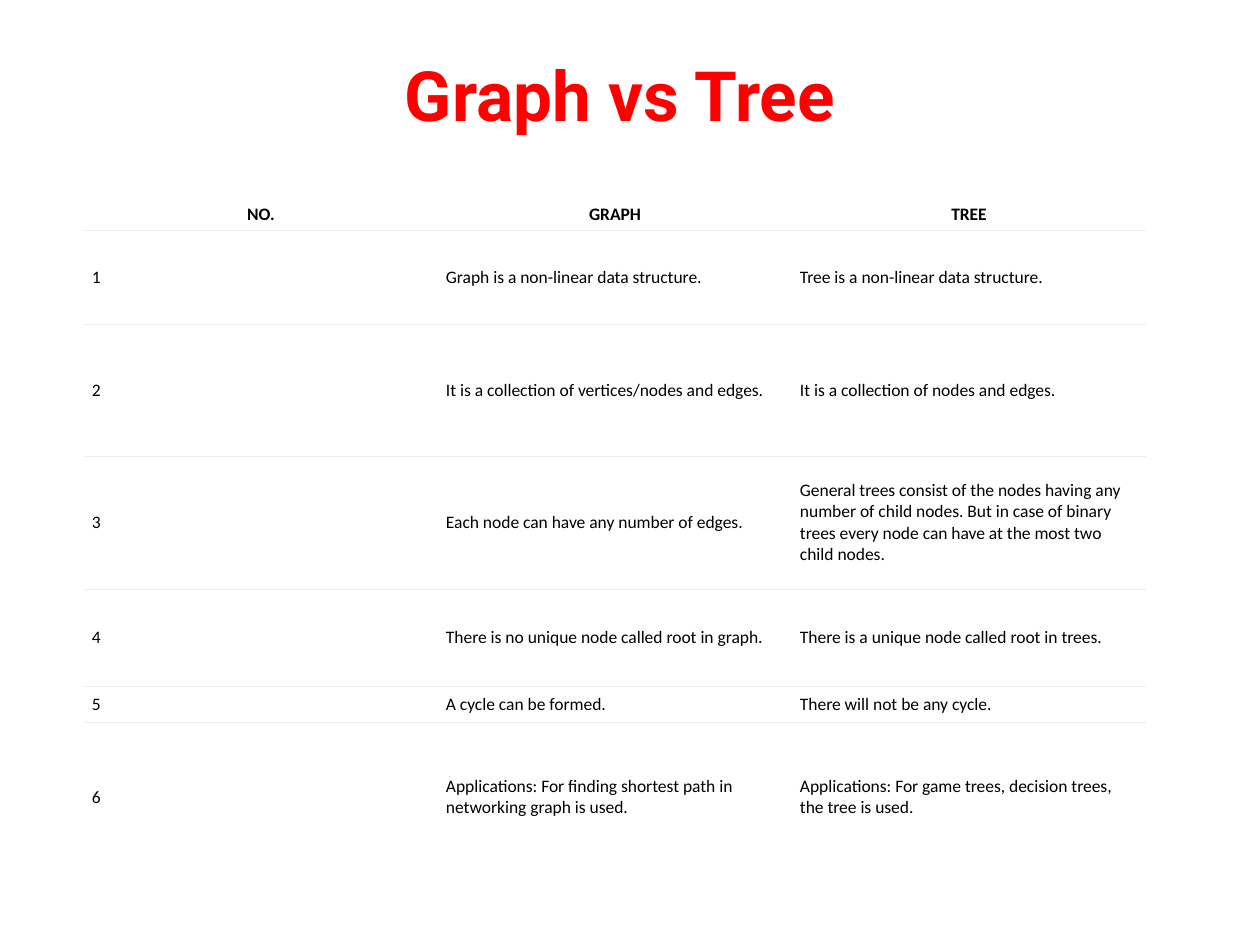
import pptx
import pptx.dml.color
import pptx.enum.text
import pptx.oxml.ns
import pptx.util
from lxml import etree

RED = pptx.dml.color.RGBColor(0xFF, 0x00, 0x00)
BLACK = pptx.dml.color.RGBColor(0x00, 0x00, 0x00)
WHITE = pptx.dml.color.RGBColor(0xFF, 0xFF, 0xFF)
RULE_GREY = pptx.dml.color.RGBColor(0xED, 0xED, 0xED)

PX_PER_INCH = 126
ALIGN = pptx.enum.text.PP_ALIGN
MIDDLE = pptx.enum.text.MSO_ANCHOR.MIDDLE

COMPARISON = [
    ("NO.", "GRAPH", "TREE"),
    ("1", "Graph is a non-linear data structure.", "Tree is a non-linear data structure."),
    ("2", "It is a collection of vertices/nodes and edges.", "It is a collection of nodes and edges."),
    ("3", "Each node can have any number of edges.",
     "General trees consist of the nodes having any number of child nodes. "
     "But in case of binary trees every node can have at the most two child nodes."),
    ("4", "There is no unique node called root in graph.", "There is a unique node called root in trees."),
    ("5", "A cycle can be formed.", "There will not be any cycle."),
    ("6", "Applications: For finding shortest path in networking graph is used.",
     "Applications: For game trees, decision trees, the tree is used."),
]
ROW_HEIGHTS = [30, 94, 132, 133, 97, 36, 150]


def px(length):
    return pptx.util.Emu(round(length * pptx.util.Inches(1) / PX_PER_INCH))


def format_text(paragraph, font_name, size, color, bold, alignment):
    paragraph.alignment = alignment
    for run in paragraph.runs:
        run.font.name = font_name
        run.font.size = pptx.util.Pt(size)
        run.font.color.rgb = color
        run.font.bold = bold


def set_margins(target, left, top, right, bottom):
    target.margin_left, target.margin_top = px(left), px(top)
    target.margin_right, target.margin_bottom = px(right), px(bottom)


def set_borders(cell, ruled_edges):
    properties = cell._tc.get_or_add_tcPr()
    for edge in ("lnL", "lnR", "lnT", "lnB"):
        line = etree.SubElement(properties, pptx.oxml.ns.qn(f"a:{edge}"), w=str(pptx.util.Pt(0.6)))
        if edge in ruled_edges:
            fill = etree.SubElement(line, pptx.oxml.ns.qn("a:solidFill"))
            etree.SubElement(fill, pptx.oxml.ns.qn("a:srgbClr"), val=str(RULE_GREY))
        else:
            etree.SubElement(line, pptx.oxml.ns.qn("a:noFill"))


def add_title(slide, left, top, width, height):
    title = slide.shapes.title
    title.left, title.top, title.width, title.height = map(px, (left, top, width, height))
    text_frame = title.text_frame
    text_frame.text = "Graph vs Tree"
    text_frame.vertical_anchor = MIDDLE
    set_margins(text_frame, 12, 6, 12, 82)
    format_text(text_frame.paragraphs[0], "Roboto", 39.6, RED, True, ALIGN.CENTER)


def fill_cell(cell, text, is_header, ruled_edges):
    set_borders(cell, ruled_edges)
    cell.fill.solid()
    cell.fill.fore_color.rgb = WHITE
    cell.vertical_anchor = MIDDLE
    set_margins(cell, *((5, 5, 5, 5) if is_header else (8, 4, 8, 4)))
    cell.text_frame.text = text
    alignment = ALIGN.CENTER if is_header else ALIGN.LEFT
    format_text(cell.text_frame.paragraphs[0], "Calibri", 10, BLACK, is_header, alignment)


def add_comparison_table(slide, left, top, width):
    row_count, column_count = len(COMPARISON), len(COMPARISON[0])
    frame = slide.shapes.add_table(
        row_count, column_count, px(left), px(top), px(width), px(sum(ROW_HEIGHTS)))
    table = frame.table
    for column in table.columns:
        column.width = px(width // column_count)
    for row_index, (texts, height) in enumerate(zip(COMPARISON, ROW_HEIGHTS)):
        table.rows[row_index].height = px(height)
        ruled_edges = set()
        if row_index > 0:
            ruled_edges.add("lnT")
        if row_index < row_count - 1:
            ruled_edges.add("lnB")
        for column_index, text in enumerate(texts):
            fill_cell(table.cell(row_index, column_index), text, row_index == 0, ruled_edges)


def main():
    presentation = pptx.Presentation()
    presentation.slide_width, presentation.slide_height = px(1260), px(945)
    slide = presentation.slides.add_slide(presentation.slide_layouts[5])
    add_title(slide, 53, 53, 1134, 157)
    add_comparison_table(slide, 84, 199, 1062)
    presentation.save("out.pptx")


if __name__ == "__main__":
    main()
